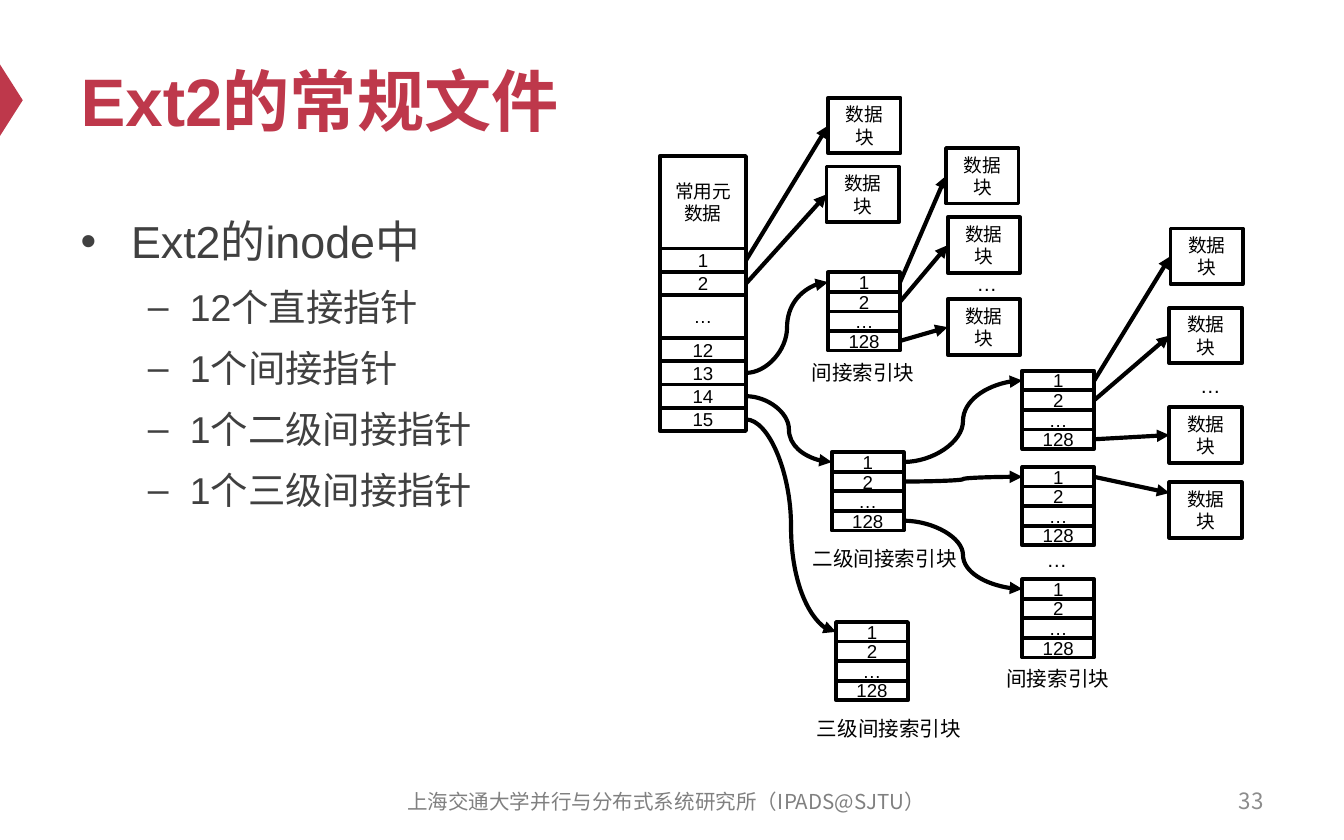
from lxml.etree import SubElement
from pptx import Presentation
from pptx.dml.color import RGBColor
from pptx.enum.lang import MSO_LANGUAGE_ID
from pptx.enum.shapes import MSO_CONNECTOR, MSO_SHAPE
from pptx.enum.text import MSO_ANCHOR, MSO_AUTO_SIZE, PP_ALIGN
from pptx.oxml.ns import qn
from pptx.util import Cm, Pt

RED, BLACK, WHITE, DARK_GRAY = "BE384B", "000000", "FFFFFF", "404040"
LEFT_SITE, RIGHT_SITE = 1, 3


def format_text(paragraph, size, color, alignment=PP_ALIGN.LEFT, font_name="Arial"):
    paragraph.alignment = alignment
    for run in paragraph.runs:
        run.font.name = font_name
        run.font.size = Pt(size)
        run.font.color.rgb = RGBColor.from_string(color)
        run.font.language_id = MSO_LANGUAGE_ID.SIMPLIFIED_CHINESE


def add_box(left, top, width, height, text):
    """Add a white, black-edged cell with centred text."""
    box = slide.shapes.add_shape(
        MSO_SHAPE.RECTANGLE, Cm(left), Cm(top), Cm(width), Cm(height))
    box.shadow.inherit = False
    box.fill.solid()
    box.fill.fore_color.rgb = RGBColor.from_string(WHITE)
    box.line.color.rgb = RGBColor.from_string(BLACK)
    box.line.width = Pt(2)
    box.text_frame.text = text
    box.text_frame.word_wrap = True
    box.text_frame.vertical_anchor = MSO_ANCHOR.MIDDLE
    format_text(box.text_frame.paragraphs[0], 10, BLACK, PP_ALIGN.CENTER)
    return box


presentation = Presentation()
presentation.slide_width, presentation.slide_height = Cm(25.4), Cm(15.88)
slide = presentation.slides.add_slide(presentation.slide_layouts[1])

# Title and its marker at the slide edge
marker = slide.shapes.add_shape(
    MSO_SHAPE.ISOSCELES_TRIANGLE, Cm(-0.46), Cm(1.68), Cm(1.35), Cm(0.43))
marker.rotation = 90
marker.shadow.inherit = False
marker.fill.solid()
marker.fill.fore_color.rgb = RGBColor.from_string(RED)
marker.line.fill.background()

title = slide.shapes.title
title.left, title.top, title.width, title.height = Cm(1.27), Cm(0.64), Cm(22.86), Cm(2.49)
title.text_frame.text = "Ext2的常规文件"
title.text_frame.auto_size = MSO_AUTO_SIZE.NONE
title.text_frame.vertical_anchor = MSO_ANCHOR.MIDDLE
format_text(title.text_frame.paragraphs[0], 36, RED)
title.text_frame.paragraphs[0].runs[0].font.bold = True

# Pointer list
body = slide.placeholders[1]
body.left, body.top, body.width, body.height = Cm(1.27), Cm(3.71), Cm(22.86), Cm(10.46)
body.text_frame.text = "\n".join([
    "Ext2的inode中", "12个直接指针", "1个间接指针", "1个二级间接指针", "1个三级间接指针"])
body.text_frame.auto_size = MSO_AUTO_SIZE.NONE
for index, paragraph in enumerate(body.text_frame.paragraphs):
    paragraph.level = 1 if index else 0
    paragraph.line_spacing = 1.2
    paragraph.space_before = Pt(4 if index else 0)
    format_text(paragraph, 20 if index else 24, DARK_GRAY)

# Footer and page number
for left, width, text, size, color, alignment in [
    (7.09, 11, "上海交通大学并行与分布式系统研究所（IPADS@SJTU）", 11, "808080", PP_ALIGN.CENTER),
    (18.21, 5.92, "33", 12, "8C8C8C", PP_ALIGN.RIGHT),
]:
    footer = slide.shapes.add_textbox(Cm(left), Cm(14.72), Cm(width), Cm(0.84))
    footer.text_frame.text = text
    footer.text_frame.word_wrap = True
    footer.text_frame.vertical_anchor = MSO_ANCHOR.MIDDLE
    format_text(footer.text_frame.paragraphs[0], size, color, alignment, "Noto Sans CJK SC")

# The inode: metadata followed by its pointers
inode = {}
top = 2.95
for text, height in [("常用元数据", 1.75), ("1", 0.44), ("2", 0.44), ("…", 0.81),
                     ("12", 0.44), ("13", 0.44), ("14", 0.44), ("15", 0.44)]:
    inode[text] = add_box(12.47, top, 1.63, height, text)
    top += height

# Index blocks of four rows each
index_blocks = []
for left, top in [(15.65, 5.15), (15.72, 8.55), (15.8, 11.76),
                  (19.32, 7.01), (19.32, 8.83), (19.32, 10.95)]:
    index_blocks.append({
        text: add_box(left, top + row * 0.37, 1.36, 0.37, text)
        for row, text in enumerate(["1", "2", "…", "128"])})
single, double, triple, first_child, second_child, last_child = index_blocks

data_blocks = [
    add_box(left, top, 1.37, 1.05, "数据块")
    for left, top in [(15.65, 1.85), (15.62, 3.15),
                      (17.88, 2.8), (17.91, 4.11), (17.91, 5.66),
                      (22.12, 4.32), (22.1, 5.82), (22.1, 7.7), (22.1, 9.12)]]

# Block names and ellipses
for left, top, width, height, text in [
    (15.09, 6.68, 2.46, 0.74, "间接索引块"),
    (15.11, 10.19, 3.25, 0.74, "二级间接索引块"),
    (15.19, 13.41, 3.25, 0.74, "三级间接索引块"),
    (18.77, 12.47, 2.46, 0.74, "间接索引块"),
    (18.21, 5, 0.69, 0.56, "…"),
    (22.43, 6.93, 0.69, 0.56, "…"),
    (19.53, 10.21, 0.69, 0.56, "…"),
]:
    label = slide.shapes.add_textbox(Cm(left), Cm(top), Cm(width), Cm(height))
    label.text_frame.text = text
    label.text_frame.word_wrap = False
    label.text_frame.auto_size = MSO_AUTO_SIZE.SHAPE_TO_FIT_TEXT
    format_text(label.text_frame.paragraphs[0], 11, BLACK)

# Pointers: straight to data blocks, curved to index blocks
data_sources = [inode["1"], inode["2"], single["1"], single["2"], single["128"],
                first_child["1"], first_child["2"], first_child["128"], second_child["1"]]
pointers = [(MSO_CONNECTOR.STRAIGHT, source, target)
            for source, target in zip(data_sources, data_blocks)]
pointers += [(MSO_CONNECTOR.CURVE, source, block["1"]) for source, block in [
    (inode["13"], single), (inode["14"], double), (inode["15"], triple),
    (double["1"], first_child), (double["2"], second_child), (double["128"], last_child)]]
for kind, source, target in pointers:
    pointer = slide.shapes.add_connector(kind, 0, 0, 0, 0)
    pointer.begin_connect(source, RIGHT_SITE)
    if target is data_blocks[-1]:
        # This arrow lands above the middle of the block's left edge
        pointer.end_x, pointer.end_y = target.left, target.top + Cm(0.2)
    else:
        pointer.end_connect(target, LEFT_SITE)
    pointer.line.color.rgb = RGBColor.from_string(BLACK)
    pointer.line.width = Pt(2.25)
    properties = pointer.element.spPr
    SubElement(properties.find(qn("a:ln")), qn("a:tailEnd"), type="triangle")
    SubElement(properties, qn("a:effectLst"))

presentation.save("out.pptx")
